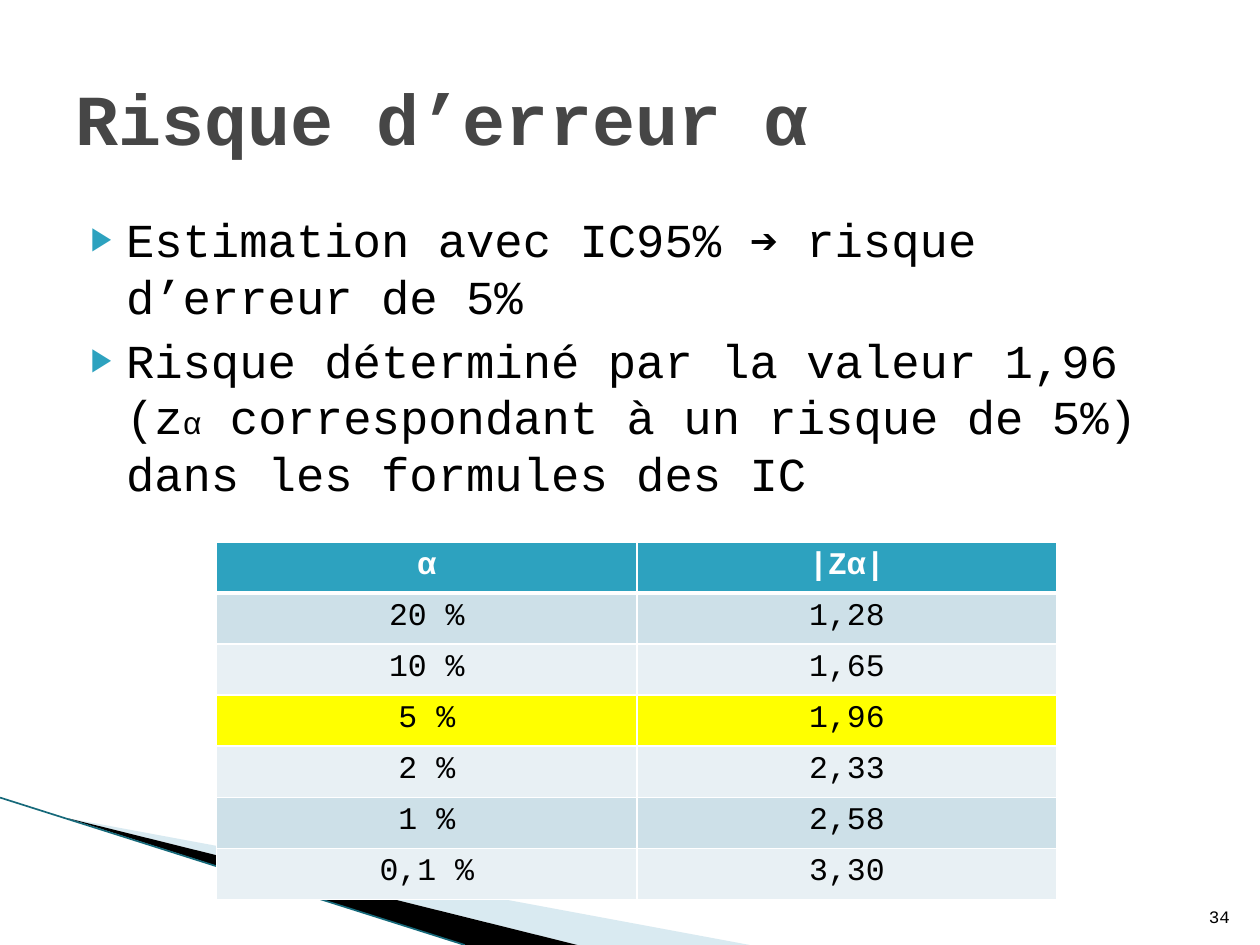
from collections import namedtuple

from lxml.etree import SubElement
from pptx import Presentation
from pptx.dml.color import RGBColor
from pptx.enum.shapes import MSO_CONNECTOR
from pptx.enum.text import MSO_ANCHOR, MSO_AUTO_SIZE, PP_ALIGN
from pptx.oxml.ns import qn
from pptx.util import Inches, Pt

Box = namedtuple("Box", "left top width height")

FONT = "Courier New"
ACCENT, BLACK, WHITE = "2DA2BF", "000000", "FFFFFF"
BAND_DARK, BAND_LIGHT, HIGHLIGHT = "CDE0E8", "E8F0F4", "FFFF00"

RISK_ROWS = [
    ("α", "|Zα|"),
    ("20 %", "1,28"),
    ("10 %", "1,65"),
    ("5 %", "1,96"),
    ("2 %", "2,33"),
    ("1 %", "2,58"),
    ("0,1 %", "3,30"),
]
HIGHLIGHTED_ROW = 3
STATEMENTS = [
    [("Estimation avec IC95% ➔ risque d’erreur de 5%", 27)],
    [
        ("Risque déterminé par la valeur 1,96 (z", 27),
        ("α", 18),
        (" correspondant à un risque de 5%) dans les formules des IC", 27),
    ],
]


def rgb(value):
    return RGBColor.from_string(value)


def emu(box):
    return [Inches(length) for length in box]


def add_run(paragraph, text, size, color=BLACK, bold=False):
    run = paragraph.add_run()
    run.text = text
    run.font.name = FONT
    run.font.size = Pt(size)
    run.font.bold = bold
    run.font.color.rgb = rgb(color)


def place(shape, box, anchor):
    shape.left, shape.top, shape.width, shape.height = emu(box)
    frame = shape.text_frame
    frame.word_wrap = True
    frame.auto_size = MSO_AUTO_SIZE.NONE
    frame.vertical_anchor = anchor
    return frame


def add_title(slide, box):
    paragraph = place(slide.shapes.title, box, MSO_ANCHOR.MIDDLE).paragraphs[0]
    paragraph.alignment = PP_ALIGN.LEFT
    add_run(paragraph, "Risque d’erreur α", 41, "464646", True)


def set_bullet(paragraph):
    properties = paragraph._p.get_or_add_pPr()
    properties.set("marL", str(Inches(0.4)))
    properties.set("indent", str(Inches(-0.28)))
    color = SubElement(properties, qn("a:buClr"))
    SubElement(color, qn("a:srgbClr"), val=ACCENT)
    SubElement(properties, qn("a:buSzPct"), val="68000")
    SubElement(properties, qn("a:buChar"), char="▶")


def add_statements(slide, box):
    frame = place(slide.placeholders[1], box, MSO_ANCHOR.TOP)
    for index, runs in enumerate(STATEMENTS):
        paragraph = frame.add_paragraph() if index else frame.paragraphs[0]
        set_bullet(paragraph)
        paragraph.space_before = Pt(4 if index else 0)
        for text, size in runs:
            add_run(paragraph, text, size)


def add_wedge(slide, box, corners, color, opacity=100):
    """Draw a filled outline whose corners are shares of the box."""
    left, top, width, height = emu(box)
    points = [(left + x * width, top + y * height) for x, y in corners]
    builder = slide.shapes.build_freeform(*points[0])
    builder.add_line_segments(points[1:], close=True)
    wedge = builder.convert_to_shape()
    wedge.shadow.inherit = False
    wedge.line.fill.background()
    wedge.fill.solid()
    wedge.fill.fore_color.rgb = rgb(color)
    if opacity < 100:
        fill_color = wedge._element.spPr.find(".//" + qn("a:srgbClr"))
        SubElement(fill_color, qn("a:alpha"), val=str(opacity * 1000))


def add_corner_decoration(slide, box):
    tip = (0.09, 0.14)
    add_wedge(slide, box, [tip, (1, 1), (0.77, 1)], "A0CBDC", 40)
    add_wedge(slide, box, [tip, (0.77, 1), (0.62, 1)], BLACK)
    left, top, width, height = emu(box)
    edge = slide.shapes.add_connector(
        MSO_CONNECTOR.STRAIGHT, left, top, left + int(0.62 * width), top + height
    )
    edge.line.color.rgb = rgb("16697A")
    edge.line.width = Pt(0.95)
    SubElement(edge._element.spPr, qn("a:effectLst"))


def set_borders(cell, bottom_width):
    properties = cell._tc.get_or_add_tcPr()
    widths = {"a:lnL": 1, "a:lnR": 1, "a:lnT": 1, "a:lnB": bottom_width}
    for side, width in widths.items():
        border = SubElement(properties, qn(side), w=str(Pt(width)))
        SubElement(SubElement(border, qn("a:solidFill")), qn("a:srgbClr"), val=WHITE)


def row_color(row):
    if row == 0:
        return ACCENT
    if row == HIGHLIGHTED_ROW:
        return HIGHLIGHT
    return BAND_DARK if row % 2 else BAND_LIGHT


def add_risk_table(slide, box):
    table = slide.shapes.add_table(
        len(RISK_ROWS), len(RISK_ROWS[0]), *emu(box)
    ).table
    for row, values in enumerate(RISK_ROWS):
        header = row == 0
        table.rows[row].height = Inches(box.height / len(RISK_ROWS))
        for column, value in enumerate(values):
            cell = table.cell(row, column)
            set_borders(cell, 3 if header else 1)
            cell.fill.solid()
            cell.fill.fore_color.rgb = rgb(row_color(row))
            paragraph = cell.text_frame.paragraphs[0]
            paragraph.alignment = PP_ALIGN.CENTER
            add_run(paragraph, value, 18, WHITE if header else BLACK, header)


def add_page_number(slide, box):
    number = slide.shapes.add_textbox(*emu(box))
    paragraph = place(number, box, MSO_ANCHOR.BOTTOM).paragraphs[0]
    paragraph.alignment = PP_ALIGN.RIGHT
    add_run(paragraph, "34", 10)


def main():
    deck = Presentation()
    deck.slide_width, deck.slide_height = Inches(10), Inches(7.5)
    slide = deck.slides.add_slide(deck.slide_layouts[1])
    add_corner_decoration(slide, Box(0, 6.33, 5.95, 1.17))
    add_title(slide, Box(0.5, 0.3, 9, 1.25))
    add_statements(slide, Box(0.5, 1.62, 9, 4.95))
    add_page_number(slide, Box(9.46, 7.01, 0.4, 0.4))
    add_risk_table(slide, Box(1.72, 4.3, 6.67, 2.84))
    deck.save("out.pptx")


if __name__ == "__main__":
    main()
